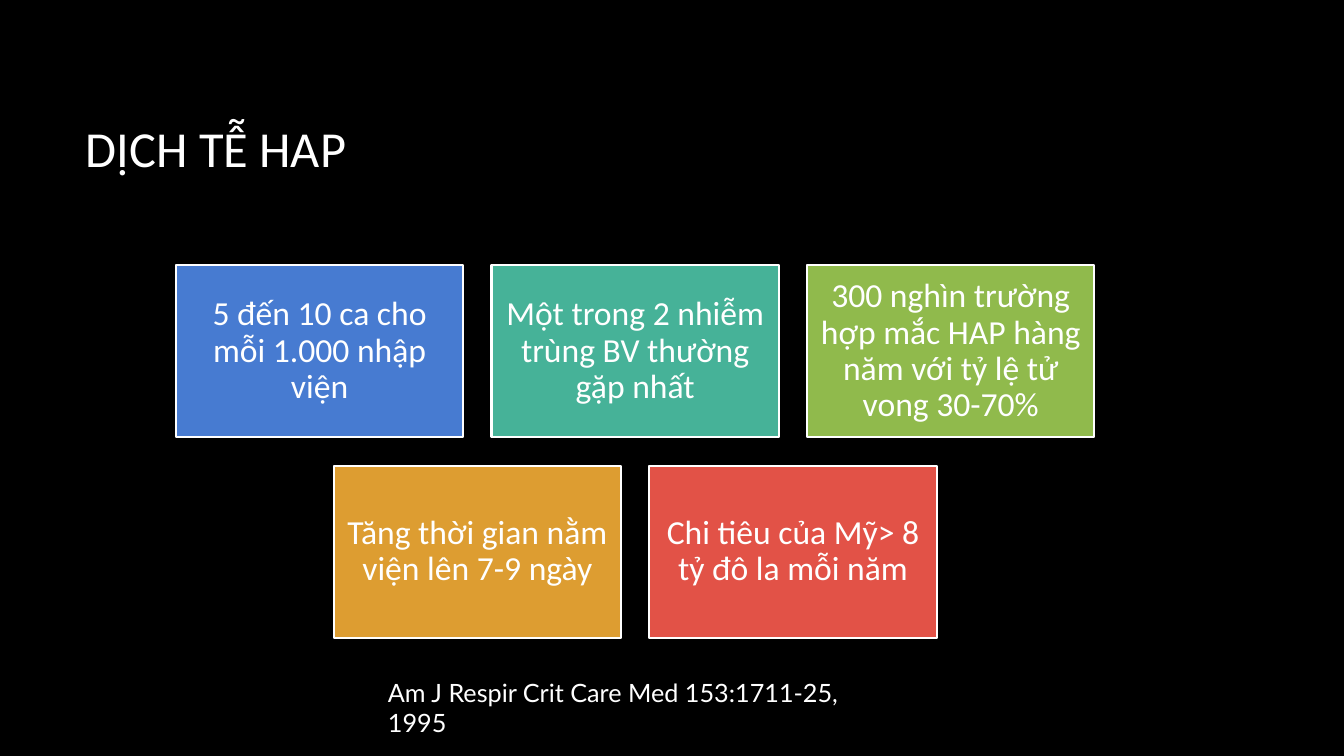
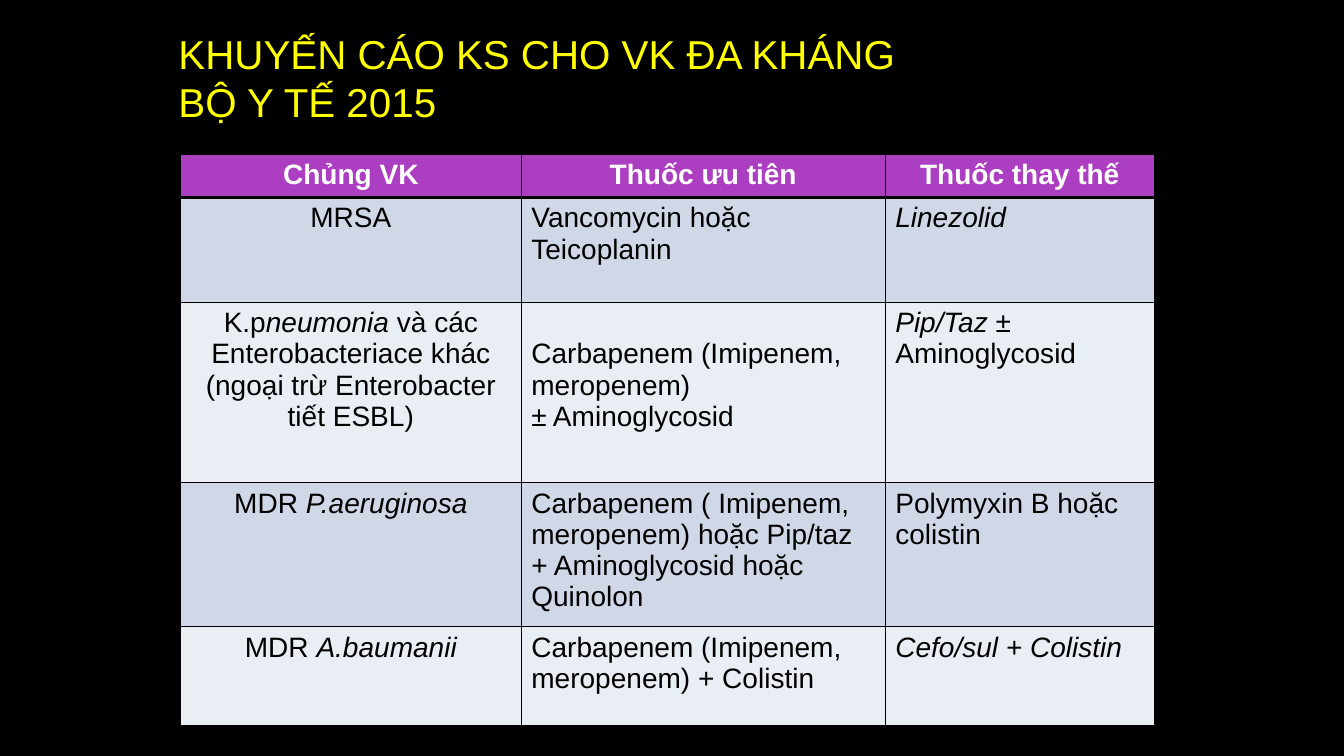
import pptx
import pptx.util
import pptx.dml.color
import pptx.enum.shapes
import pptx.enum.text
import pptx.oxml
import pptx.oxml.ns

Inches = pptx.util.Inches
Pt = pptx.util.Pt
RGB = pptx.dml.color.RGBColor
ALIGN = pptx.enum.text.PP_ALIGN
MIDDLE = pptx.enum.text.MSO_ANCHOR.MIDDLE

BLACK = RGB(0x00, 0x00, 0x00)
WHITE = RGB(0xFF, 0xFF, 0xFF)
YELLOW = RGB(0xFF, 0xFF, 0x00)
BLUE = RGB(0x47, 0x7B, 0xD1)
TEAL = RGB(0x46, 0xB2, 0x98)
GREEN = RGB(0x90, 0xBA, 0x4C)
AMBER = RGB(0xDD, 0x9D, 0x31)
RED = RGB(0xE2, 0x52, 0x47)
PURPLE = RGB(0xAC, 0x3E, 0xC1)
BANDS = [RGB(0xD0, 0xD8, 0xE8), RGB(0xE9, 0xED, 0xF4)]

FACTS = [
    [("5 đến 10 ca cho mỗi 1.000 nhập viện", BLUE),
     ("Một trong 2 nhiễm trùng BV thường gặp nhất", TEAL),
     ("300 nghìn trường hợp mắc HAP hàng năm với tỷ lệ tử vong 30-70%", GREEN)],
    [("Tăng thời gian nằm viện lên 7-9 ngày", AMBER),
     ("Chi tiêu của Mỹ> 8 tỷ đô la mỗi năm", RED)],
]
CITE = "Am J Respir Crit Care Med 153:1711-25, 1995"

# Text between asterisks is italic.
DRUGS = [
    ["Chủng VK", "Thuốc ưu tiên", "Thuốc thay thế"],
    ["MRSA", "Vancomycin hoặc Teicoplanin", "*Linezolid*"],
    ["K.p*neumonia* và các Enterobacteriace khác "
     "(ngoại trừ Enterobacter tiết ESBL)",
     "Carbapenem (Imipenem, meropenem)\n± Aminoglycosid",
     "*Pip/Taz *± Aminoglycosid"],
    ["MDR *P.aeruginosa*",
     "Carbapenem ( Imipenem, meropenem) hoặc Pip/taz "
     "+ Aminoglycosid hoặc Quinolon",
     "Polymyxin B hoặc colistin"],
    ["MDR *A.baumanii*", "Carbapenem (Imipenem, meropenem) + Colistin",
     "*Cefo/sul + Colistin*"],
]
WIDTHS = [3.38, 3.61, 2.67]
HEIGHTS = [0.43, 1.04, 1.79, 1.43, 0.98]
LOWERED = (2, 1)  # cell whose text starts one line down


def style(run, size, face, color, bold=False, italic=False):
    font = run.font
    font.size, font.name = Pt(size), face
    font.color.rgb = color
    font.bold, font.italic = bold, italic


def place(shape, left, top, width, height):
    shape.left, shape.top = Inches(left), Inches(top)
    shape.width, shape.height = Inches(width), Inches(height)


def add_slide(deck, title, box, size, face, color):
    slide = deck.slides.add_slide(deck.slide_layouts[5])
    head = slide.shapes.title
    place(head, *box)
    frame = head.text_frame
    frame.text = title
    frame.auto_size = pptx.enum.text.MSO_AUTO_SIZE.NONE
    frame.vertical_anchor = MIDDLE
    para = frame.paragraphs[0]
    para.alignment = ALIGN.LEFT
    for run in para.runs:
        style(run, size, face, color)
    return slide


def add_facts(slide):
    width, height, gap = 2.85, 1.71, 0.28
    center, top = 6.3, 2.63
    for i, row in enumerate(FACTS):
        span = len(row) * (width + gap) - gap
        for j, (text, color) in enumerate(row):
            box = slide.shapes.add_shape(
                pptx.enum.shapes.MSO_SHAPE.RECTANGLE,
                Inches(center - span / 2 + j * (width + gap)),
                Inches(top + i * (height + gap)),
                Inches(width), Inches(height))
            box.shadow.inherit = False
            box.fill.solid()
            box.fill.fore_color.rgb = color
            box.line.color.rgb = WHITE
            box.line.width = Pt(1.5)
            frame = box.text_frame
            frame.text = text
            frame.word_wrap = True
            frame.vertical_anchor = MIDDLE
            frame.margin_left = frame.margin_right = Inches(0.1)
            frame.margin_top = frame.margin_bottom = Inches(0.1)
            para = frame.paragraphs[0]
            para.alignment = ALIGN.CENTER
            para.line_spacing = 0.9
            style(para.runs[0], 24, "Calibri", WHITE)


def add_cite(slide):
    box = slide.shapes.add_textbox(
        Inches(3.75), Inches(6.67), Inches(5.2), Inches(0.4))
    box.text_frame.word_wrap = True
    box.text_frame.text = CITE
    style(box.text_frame.paragraphs[0].runs[0], 18, "Lato", WHITE)


def set_edges(cell, widths):
    """Draw black borders; widths maps L, R, T and B to points."""
    props = cell._tc.get_or_add_tcPr()
    for side, width in widths.items():
        props.append(pptx.oxml.parse_xml(
            f'<a:ln{side} {pptx.oxml.ns.nsdecls("a")} w="{Pt(width)}">'
            f'<a:solidFill><a:srgbClr val="{BLACK}"/></a:solidFill>'
            f'</a:ln{side}>'))


def fill_cell(cell, text, row, col):
    top = row == 0
    set_edges(cell, {"L": 1, "R": 1, "T": 3 if row == 1 else 1,
                     "B": 3 if top else 1})
    cell.fill.solid()
    cell.fill.fore_color.rgb = PURPLE if top else BANDS[(row - 1) % 2]
    if (row, col) == LOWERED:
        cell.margin_top = Inches(0.36)
    frame = cell.text_frame
    for i, line in enumerate(text.split("\n")):
        para = frame.add_paragraph() if i else frame.paragraphs[0]
        para.alignment = ALIGN.CENTER if top or col == 0 else ALIGN.LEFT
        for k, part in enumerate(line.split("*")):
            if part:
                run = para.add_run()
                run.text = part
                style(run, 20, "Arial", WHITE if top else BLACK,
                      bold=top, italic=k % 2 == 1)


def add_drugs(slide):
    table = slide.shapes.add_table(
        len(DRUGS), len(WIDTHS), Inches(1.79), Inches(1.53),
        Inches(sum(WIDTHS)), Inches(sum(HEIGHTS))).table
    table.horz_banding = False
    for col, width in zip(table.columns, WIDTHS):
        col.width = Inches(width)
    for i, (line, height) in enumerate(zip(DRUGS, HEIGHTS)):
        table.rows[i].height = Inches(height)
        for j, text in enumerate(line):
            fill_cell(table.cell(i, j), text, i, j)


def main():
    deck = pptx.Presentation()
    deck.slide_width, deck.slide_height = Inches(13.33), Inches(7.5)
    back = deck.slide_master.background.fill
    back.solid()
    back.fore_color.rgb = BLACK

    slide = add_slide(deck, "DỊCH TỄ HAP", (0.75, 0.67, 11.08, 1.59),
                      36, "Calibri", WHITE)
    add_cite(slide)
    add_facts(slide)

    slide = add_slide(deck, "KHUYẾN CÁO KS CHO VK ĐA KHÁNG\vBỘ Y TẾ 2015",
                      (1.67, 0.43, 9.75, 0.67), 28.8, "Arial", YELLOW)
    add_drugs(slide)
    deck.save("out.pptx")


if __name__ == "__main__":
    main()
